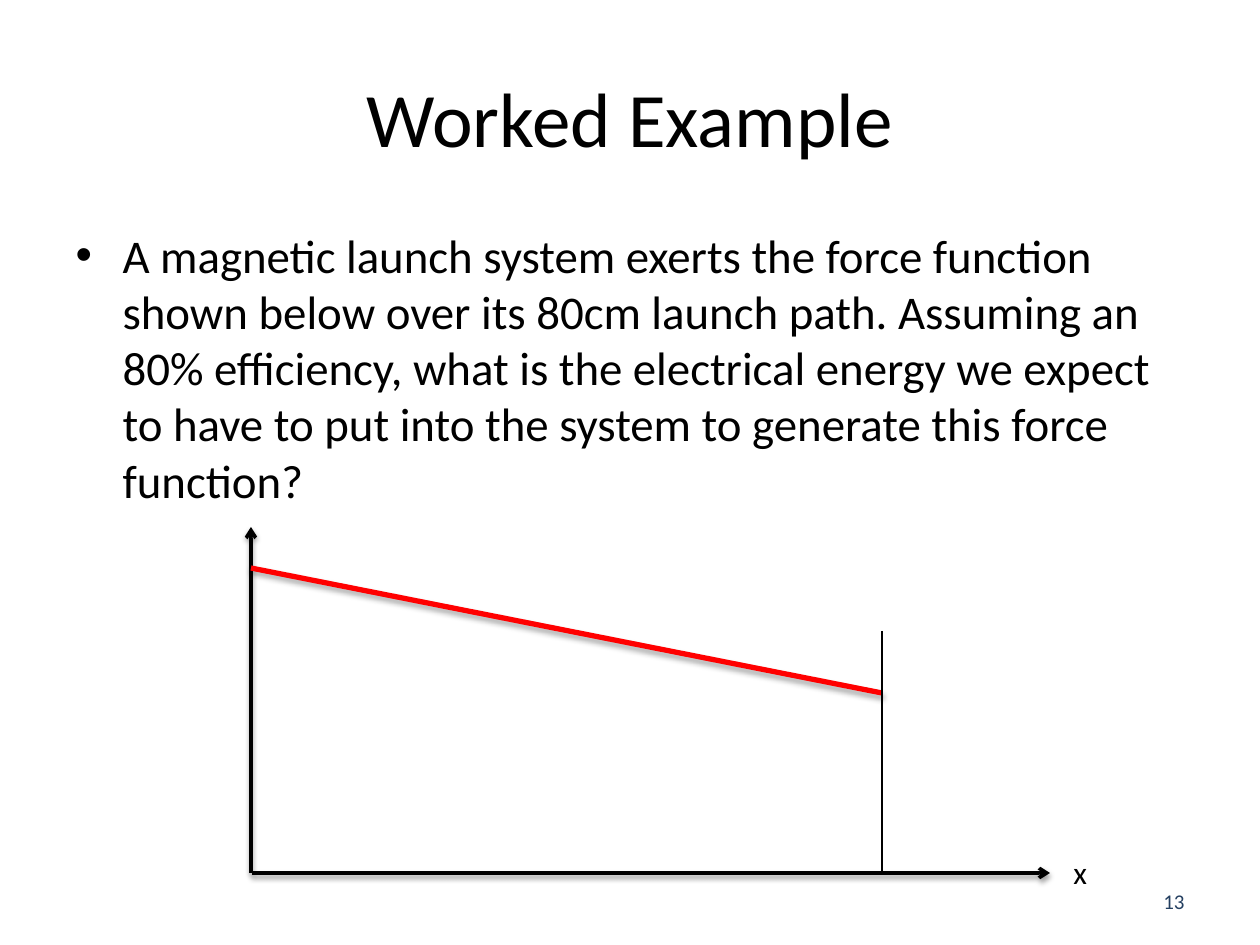
import pptx
import pptx.dml.color
import pptx.enum.shapes
import pptx.enum.text
import pptx.oxml
import pptx.oxml.ns
import pptx.util

ALIGN = pptx.enum.text.PP_ALIGN
ANCHOR = pptx.enum.text.MSO_ANCHOR
EMU_PER_PX = 914400 / 126


def px(length):
    return pptx.util.Emu(round(length * EMU_PER_PX))


def color(hex_value):
    return pptx.dml.color.RGBColor.from_string(hex_value)


def add_xml(parent, tag, **attributes):
    child = pptx.oxml.ns.qn(tag)
    element = parent.makeelement(child, attributes)
    parent.append(element)
    return element


def apply(target, values):
    for key, value in values.items():
        setattr(target, key, value)


class SlideBuilder:
    font_name = "Calibri"
    ink = "000000"

    def __init__(self, slide):
        self.slide = slide

    def fill_text(self, shape, box, text, size, ink=ink, align=ALIGN.LEFT,
                  anchor=ANCHOR.TOP, wrap=True, bullet_indent=0):
        apply(shape, dict(zip(("left", "top", "width", "height"), map(px, box))))
        frame = shape.text_frame
        frame.text = text
        apply(frame, {"word_wrap": wrap, "vertical_anchor": anchor,
                      "auto_size": pptx.enum.text.MSO_AUTO_SIZE.NONE})
        paragraph = frame.paragraphs[0]
        apply(paragraph, {"alignment": align, "space_before": pptx.util.Pt(0)})
        if bullet_indent:
            properties = paragraph._p.get_or_add_pPr()
            properties.set("marL", str(px(bullet_indent)))
            properties.set("indent", str(-px(bullet_indent)))
            add_xml(properties, "a:buFont", typeface="Arial")
            add_xml(properties, "a:buChar", char="•")
        font = paragraph.runs[0].font
        apply(font, {"name": self.font_name, "size": pptx.util.Pt(size)})
        font.color.rgb = color(ink)

    def title(self, box, text, size):
        self.fill_text(self.slide.shapes.title, box, text, size,
                       align=ALIGN.CENTER, anchor=ANCHOR.MIDDLE)

    def body(self, box, text, size):
        self.fill_text(self.slide.placeholders[1], box, text, size, bullet_indent=47)

    def label(self, box, text, size, **style):
        self.fill_text(self.slide.shapes.add_textbox(*map(px, box)), box, text, size, **style)

    def line(self, start, end, width, ink=ink, arrow=False, shadow=None):
        connector = self.slide.shapes.add_connector(
            pptx.enum.shapes.MSO_CONNECTOR.STRAIGHT, *map(px, start + end))
        connector.line.width = pptx.util.Pt(width)
        connector.line.color.rgb = color(ink)
        if arrow:
            add_xml(connector.line._get_or_add_ln(), "a:tailEnd", type="arrow")
        effects = add_xml(connector._element.spPr, "a:effectLst")
        if shadow:
            opacity, distance = shadow
            outer = add_xml(effects, "a:outerShdw", blurRad=str(pptx.util.Pt(3.1)),
                            dist=str(pptx.util.Pt(distance)), dir="5400000",
                            rotWithShape="0")
            shade = add_xml(outer, "a:srgbClr", val=self.ink)
            add_xml(shade, "a:alpha", val=str(opacity * 1000))


def main():
    deck = pptx.Presentation()
    apply(deck, {"slide_width": px(1260), "slide_height": px(945)})
    builder = SlideBuilder(deck.slides.add_slide(deck.slide_layouts[1]))

    builder.title((63, 38, 1134, 158), "Worked Example", 44)
    builder.body(
        (63, 220, 1134, 242),
        "A magnetic launch system exerts the force function shown below over its "
        "80cm launch path. Assuming an 80% efficiency, what is the electrical energy "
        "we expect to have to put into the system to generate this force function?",
        26.8)
    builder.label((903, 876, 294, 50), "13", 12, ink="254061",
                  align=ALIGN.RIGHT, anchor=ANCHOR.MIDDLE)

    origin_x, axis_y, launch_end = 251, 873, 882
    axis_style = {"width": 2, "arrow": True, "shadow": (38, 1.6)}
    builder.line((origin_x + 1, axis_y), (1050, axis_y), **axis_style)
    builder.line((origin_x, axis_y), (origin_x, 527), **axis_style)
    builder.line((origin_x, 568), (launch_end, 693), 3, ink="FF0000", shadow=(35, 1.8))
    builder.label((1061, 847, 39, 50), "x", 18, wrap=False)
    builder.line((launch_end, 631), (launch_end, axis_y), 0.75)

    deck.save("out.pptx")


if __name__ == "__main__":
    main()
